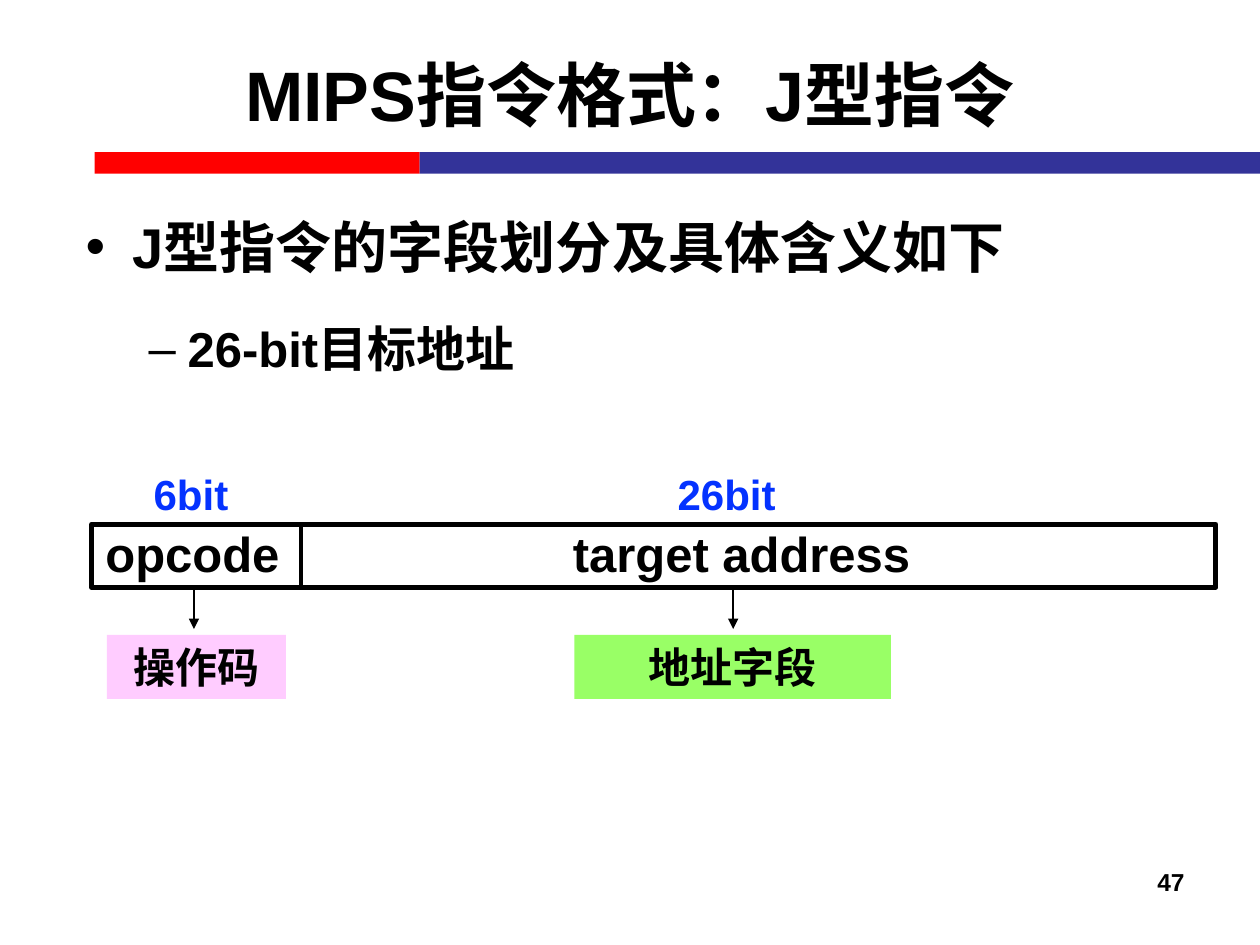
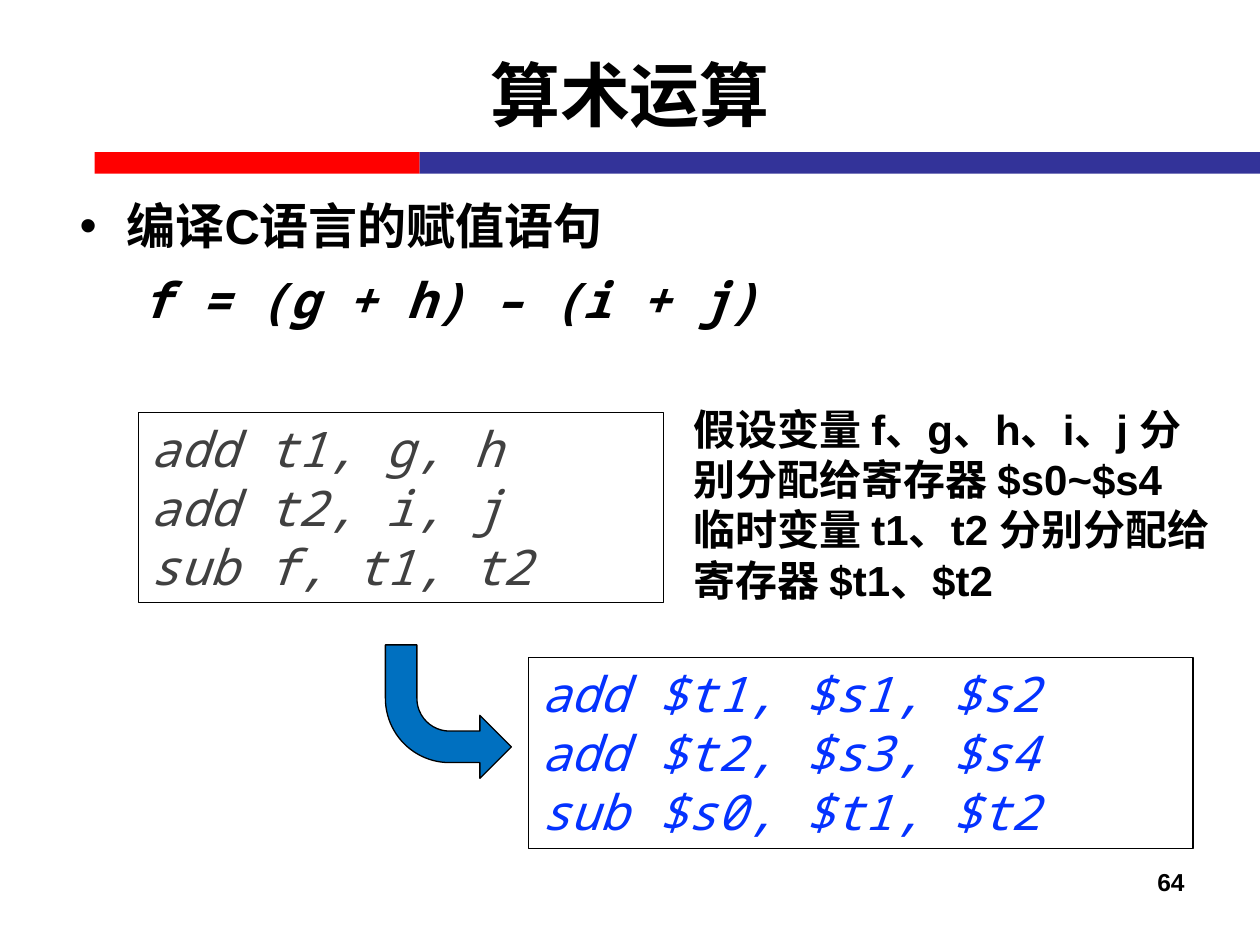
from pptx import Presentation
from pptx import util as u
from pptx.dml.color import RGBColor
from pptx.enum import shapes, text
from pptx.oxml import ns
from lxml import etree

BLACK = RGBColor(0x00, 0x00, 0x00)
GREY = RGBColor(0x40, 0x40, 0x40)
RED = RGBColor(0xFF, 0x00, 0x00)
NAVY = RGBColor(0x33, 0x33, 0x99)
BLUE = RGBColor(0x04, 0x32, 0xFF)
ARROW_BLUE = RGBColor(0x00, 0x70, 0xC0)
PINK = RGBColor(0xFF, 0xCC, 0xFF)
GREEN = RGBColor(0x99, 0xFF, 0x66)

LEFT, CENTER, RIGHT = text.PP_ALIGN.LEFT, text.PP_ALIGN.CENTER, text.PP_ALIGN.RIGHT
RECTANGLE = shapes.MSO_SHAPE.RECTANGLE
BAND_TOP, BAND_HEIGHT = 3.07, 0.43


def bold(size):
    """Return the format of the deck's bold text."""
    return {"name": "Arial", "size": u.Pt(size), "bold": True, "italic": False}


TITLE, HEADING, LARGE, NORMAL, NUMBER = map(bold, (40, 32, 28, 24, 14))
CODE = {"name": "Noto Sans Mono", "size": u.Pt(28), "bold": False, "italic": True}
FORMULA = CODE | {"bold": True}


def lengths(box):
    """Turn a box in centimetres into lengths."""
    return [u.Cm(value) for value in box]


def place(shape, box):
    """Move a shape to a box."""
    for name, value in zip(("left", "top", "width", "height"), lengths(box)):
        setattr(shape, name, value)


def write_line(para, line, style, color=BLACK, align=LEFT):
    """Write one formatted line into a paragraph."""
    para.alignment = align
    span = para.add_run()
    span.text = line
    for name, value in style.items():
        setattr(span.font, name, value)
    span.font.color.rgb = color


def write_lines(frame, lines, style, color=BLACK, align=LEFT):
    """Write lines of one style, a paragraph each."""
    for index, line in enumerate(lines):
        para = frame.add_paragraph() if index else frame.paragraphs[0]
        write_line(para, line, style, color, align)


def add_text(page, box, lines, style, color=BLACK, align=LEFT, wrap=True):
    """Add a text box."""
    frame = page.shapes.add_textbox(*lengths(box)).text_frame
    frame.word_wrap = wrap
    write_lines(frame, lines, style, color, align)


def add_block(page, box, fill=None, line=None, width=0.75, kind=RECTANGLE):
    """Add a flat shape with optional fill and outline."""
    block = page.shapes.add_shape(kind, *lengths(box))
    block.shadow.inherit = False
    for part, color in ((block.fill, fill), (block.line.fill, line)):
        if color is None:
            part.background()
        else:
            part.solid()
            part.fore_color.rgb = color
    if line is not None:
        block.line.width = u.Pt(width)
    block.text_frame.vertical_anchor = text.MSO_ANCHOR.TOP
    block.text_frame.word_wrap = True
    return block


def add_line(page, x, top, bottom, width, arrow=False):
    """Add a vertical line, with an arrowhead at its bottom if asked."""
    line = page.shapes.add_connector(
        shapes.MSO_CONNECTOR.STRAIGHT, *lengths((x, top, x, bottom)))
    line.line.color.rgb = BLACK
    line.line.width = u.Pt(width)
    if arrow:
        etree.SubElement(line.get_or_add_ln(), ns.qn("a:tailEnd"), type="triangle")
    etree.SubElement(line._element.spPr, ns.qn("a:effectLst"))


def add_page(deck, title, number):
    """Add a page with its title, bands and number."""
    page = deck.slides.add_slide(deck.slide_layouts[1])
    heading = page.shapes.title
    place(heading, (1.27, 0.3, 22.86, 3.18))
    frame = heading.text_frame
    frame.auto_size = text.MSO_AUTO_SIZE.NONE
    frame.vertical_anchor = text.MSO_ANCHOR.MIDDLE
    write_lines(frame, [title], TITLE, align=CENTER)
    for left, width, color in ((1.91, 6.55, RED), (8.46, 16.94, NAVY)):
        add_block(page, (left, BAND_TOP, width, BAND_HEIGHT), color)
    add_text(page, (18.21, 17.35, 5.92, 1.32), [str(number)], NUMBER, align=RIGHT)
    return page


def fill_body(page, box, items, spacing):
    """Fill the body with (line, style, bullet, space before), a level deeper each."""
    body = page.placeholders[1]
    place(body, box)
    frame = body.text_frame
    frame.auto_size = text.MSO_AUTO_SIZE.NONE
    indents = ((0.95, -0.95), (2.06, -0.79))
    for level, (line, style, bullet, before) in enumerate(items):
        para = frame.add_paragraph() if level else frame.paragraphs[0]
        para.level = level
        properties = para._p.get_or_add_pPr()
        margin, indent = lengths(indents[level])
        properties.set("marL", str(margin))
        properties.set("indent", str(indent))
        if bullet:
            etree.SubElement(properties, ns.qn("a:buChar"), char=bullet)
        else:
            etree.SubElement(properties, ns.qn("a:buNone"))
        para.line_spacing = spacing
        para.space_before = u.Pt(before)
        write_line(para, line, style)


def add_instruction_format(page, box):
    """Draw the instruction word with field widths, names and meanings."""
    left, top, width, _ = box
    word_top, word_height = top + 1.25, 1.27
    word_bottom = word_top + word_height
    fields = (
        ("6bit", 2.0, "opcode", 2.03, 4.06, 2.06, "操作码", 2.11, 3.61, PINK),
        ("26bit", 12.8, "target address", 13.1, 7.39, 12.93, "地址字段", 12.92, 6.38, GREEN),
    )
    for (bits, bits_x, name, name_x, name_width, arrow_x,
         meaning, meaning_x, meaning_width, color) in fields:
        add_text(page, (left + bits_x - 2.37, top, 4.74, 1.27),
                 [bits], NORMAL, BLUE, CENTER)
        add_text(page, (left + name_x - name_width / 2, word_top - 0.15, name_width, 1.44),
                 [name], LARGE, align=CENTER, wrap=False)
        add_line(page, left + arrow_x, word_bottom, word_bottom + 0.84, 1.5, arrow=True)
        label = add_block(page, (left + meaning_x - meaning_width / 2, word_bottom + 0.96,
                                 meaning_width, 1.29), color)
        write_lines(label.text_frame, [meaning], NORMAL, align=CENTER)
    add_line(page, left + 4.22, word_top, word_bottom, 2.25)
    add_block(page, (left, word_top, width, word_height), line=BLACK, width=3)


def add_code(page, box, lines, color):
    """Add a framed code listing."""
    listing = add_block(page, box, line=BLACK)
    write_lines(listing.text_frame, lines, CODE, color)


def add_translation(page, box):
    """Draw the step from variables to registers."""
    left, top, width, height = box
    code_height = 3.84
    add_code(page, (left, top, 10.59, code_height),
             ["add t1, g, h", "add t2, i, j", "sub f, t1, t2"], GREY)
    add_code(page, (left + width - 13.39, top + height - code_height, 13.39, code_height),
             ["add $t1, $s1, $s2", "add $t2, $s3, $s4", "sub $s0, $t1, $t2"], BLUE)
    add_text(page, (left + 10.95, top - 0.31, 10.97, 4.37),
             ["假设变量 f、g、h、i、j 分别分配给寄存器 $s0~$s4",
              "临时变量 t1、t2 分别分配给寄存器 $t1、$t2"], NORMAL)
    arrow = add_block(page, (left + 4.98, top + 4.69, 2.54, 2.69), ARROW_BLUE, BLACK,
                      kind=shapes.MSO_SHAPE.BENT_ARROW)
    for index, value in enumerate((0.25, 0.25, 0.25, 0.51)):
        arrow.adjustments[index] = value
    arrow.rotation = 180
    arrow._element.spPr.xfrm.set("flipH", "1")


def build_format_page(deck):
    """Build the page on the J-type format."""
    page = add_page(deck, "MIPS指令格式：J型指令", 47)
    fill_body(page, (1.47, 3.48, 21.89, 12.09),
              (("J型指令的字段划分及具体含义如下", HEADING, "•", 0),
               ("26-bit目标地址", LARGE, "–", 5.6)), 1.5)
    add_instruction_format(page, (1.85, 9.32, 22.66, 4.78))


def build_arithmetic_page(deck):
    """Build the page on arithmetic."""
    page = add_page(deck, "算术运算", 64)
    fill_body(page, (1.35, 3.94, 21.89, 12.09),
              (("编译C语言的赋值语句", LARGE, "•", 0),
               ("f = (g + h) – (i + j)", FORMULA, None, 12)), 0.9)
    add_translation(page, (2.79, 8.31, 21.26, 8.79))


def main():
    """Build and save the deck."""
    deck = Presentation()
    deck.slide_width, deck.slide_height = lengths((25.4, 19.05))
    build_format_page(deck)
    build_arithmetic_page(deck)
    deck.save("out.pptx")


if __name__ == "__main__":
    main()
